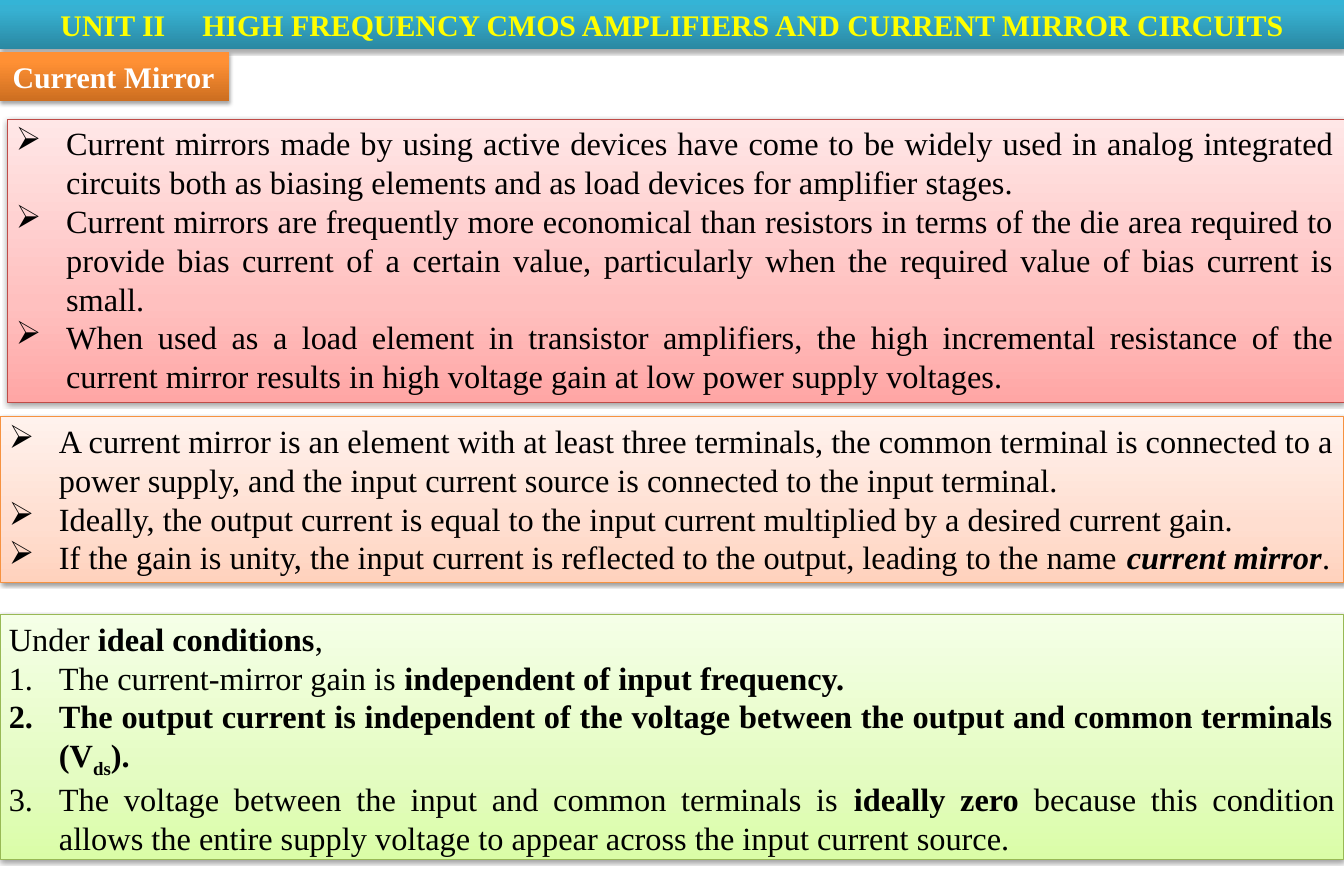
from lxml.etree import SubElement
from pptx import Presentation
from pptx.dml.color import RGBColor
from pptx.enum.shapes import MSO_SHAPE as SHAPE
from pptx.enum.text import MSO_ANCHOR as ANCHOR, MSO_AUTO_SIZE as FIT, PP_ALIGN as AL
from pptx.oxml.ns import qn
from pptx.util import Pt

# Content: a paragraph is (bullet, runs); a run is (text, style letters)
# Styles: b bold, i italic, s subscript
TITLE = [("", [("UNIT II\t HIGH FREQUENCY CMOS AMPLIFIERS AND CURRENT MIRROR CIRCUITS", "b")])]
TOPIC = [("", [("Current Mirror", "b")])]
USES = [
    ("➢", [("Current mirrors made by using active devices have come to be widely used in analog "
            "integrated circuits both as biasing elements and as load devices for amplifier stages.", "")]),
    ("➢", [("Current mirrors are frequently more economical than resistors in terms of the die area "
            "required to provide bias current of a certain value, particularly when the required "
            "value of bias current is small.", "")]),
    ("➢", [("When used as a load element in transistor amplifiers, the high incremental resistance "
            "of the current mirror results in high voltage gain at low power supply voltages.", "")]),
]
DEFINITION = [
    ("➢", [("A current mirror is an element with at least three terminals, the common terminal is "
            "connected to a power supply, and the input current source is connected to the input "
            "terminal.", "")]),
    ("➢", [("Ideally, the output current is equal to the input current multiplied by a desired "
            "current gain.", "")]),
    ("➢", [("If the gain is unity, the input current is reflected to the output, leading to the name ", ""),
           ("current mirror", "bi"), (".", "")]),
]
IDEAL = [
    ("", [("Under ", ""), ("ideal conditions", "b"), (",", "")]),
    ("1.", [("The current-mirror gain is ", ""), ("independent of input frequency.", "b")]),
    ("1.", [("The output current is independent of the voltage between the output and common "
             "terminals (V", "b"), ("ds", "bs"), (").", "b")]),
    ("1.", [("The voltage between the input and common terminals is ", ""), ("ideally zero ", "b"),
            ("because this condition allows the entire supply voltage to appear across the input "
             "current source.", "")]),
]

# Formats: banners are headings, panels hold the body text
BANNER = dict(stops=(0, 80, 100), alpha=35, dist=23000, size=24, margins=(14, 7))
PANEL = dict(stops=(0, 35, 100), alpha=38, dist=20000, size=26, margins=(10, 5),
             color="000000", align=AL.JUSTIFY, indent=56, wrap=True)

# Boxes: place in px (100 to the inch), paragraphs, gradient, line, format
BOXES = [
    ((0, 0, 1500, 55), TITLE, ("2A88A2", "37B1D2", "34B4D6"), None,
     dict(BANNER, color="FFFF00", align=AL.CENTER, indent=0, wrap=True)),
    ((0, 58, 256, 55), TOPIC, ("CC6E20", "FF9034", "FF9136"), None,
     dict(BANNER, color="FFFFFF", align=AL.LEFT, indent=56, wrap=False)),
    ((8, 133, 1492, 316), USES, ("FFA6A5", "FFC0BF", "FFE7E7"), "BF4C48", PANEL),
    ((0, 465, 1500, 185), DEFINITION, ("FFD2BD", "FFDED0", "FFF2ED"), "F69240", PANEL),
    ((0, 686, 1500, 273), IDEAL, ("DAFDA7", "E4FCC2", "F5FFE7"), "98B955", PANEL),
]
FONT = "Times New Roman"
SCALE = 9144


def px(n):
    return n * SCALE


def rgb(color):
    return RGBColor.from_string(color)


def add_color(parent, color):
    return SubElement(parent, qn("a:srgbClr"), val=color)


def paint(sp, colors, line, fmt):
    """Gradient from bottom to top, outline and soft shadow."""
    sp.fill.gradient()
    sp.fill.gradient_angle = 90
    stops = sp.element.spPr.find(".//" + qn("a:gsLst"))
    for old in list(stops):
        stops.remove(old)
    for pos, color in zip(fmt["stops"], colors):
        add_color(SubElement(stops, qn("a:gs"), pos=str(pos * 1000)), color)
    if line:
        sp.line.color.rgb = rgb(line)
        sp.line.width = Pt(0.75)
    else:
        sp.line.fill.background()
    sp.shadow.inherit = False
    shadow = SubElement(sp.element.spPr.find(qn("a:effectLst")), qn("a:outerShdw"),
                        blurRad="40000", dist=str(fmt["dist"]), dir="5400000", rotWithShape="0")
    SubElement(add_color(shadow, "000000"), qn("a:alpha"), val=str(fmt["alpha"] * 1000))


def add_bullet(p, bullet, indent):
    pPr = p._p.get_or_add_pPr()
    pPr.set("marL", str(px(indent)))
    pPr.set("indent", str(px(-indent)))
    if bullet == "1.":
        SubElement(pPr, qn("a:buAutoNum"), type="arabicPeriod")
    elif bullet:
        SubElement(pPr, qn("a:buChar"), char=bullet)
    else:
        SubElement(pPr, qn("a:buNone"))


def write(tf, paragraphs, fmt):
    side, top = map(px, fmt["margins"])
    frame = dict(margin_left=side, margin_right=side, margin_top=top, margin_bottom=top,
                 word_wrap=fmt["wrap"], auto_size=FIT.SHAPE_TO_FIT_TEXT, vertical_anchor=ANCHOR.TOP)
    for name, value in frame.items():
        setattr(tf, name, value)
    for i, (bullet, runs) in enumerate(paragraphs):
        p = tf.add_paragraph() if i else tf.paragraphs[0]
        p.alignment = fmt["align"]
        add_bullet(p, bullet, fmt["indent"])
        for text, style in runs:
            r = p.add_run()
            r.text = text
            font = dict(name=FONT, size=Pt(fmt["size"]), bold="b" in style, italic="i" in style)
            for name, value in font.items():
                setattr(r.font, name, value)
            r.font.color.rgb = rgb(fmt["color"])
            if "s" in style:
                r._r.get_or_add_rPr().set("baseline", "-25000")


def main():
    prs = Presentation()
    prs.slide_width, prs.slide_height = px(1500), px(1000)
    s = prs.slides.add_slide(prs.slide_layouts[6])
    for place, paragraphs, colors, line, fmt in BOXES:
        sp = s.shapes.add_shape(SHAPE.RECTANGLE, *map(px, place))
        paint(sp, colors, line, fmt)
        write(sp.text_frame, paragraphs, fmt)
    prs.save("out.pptx")


if __name__ == "__main__":
    main()
